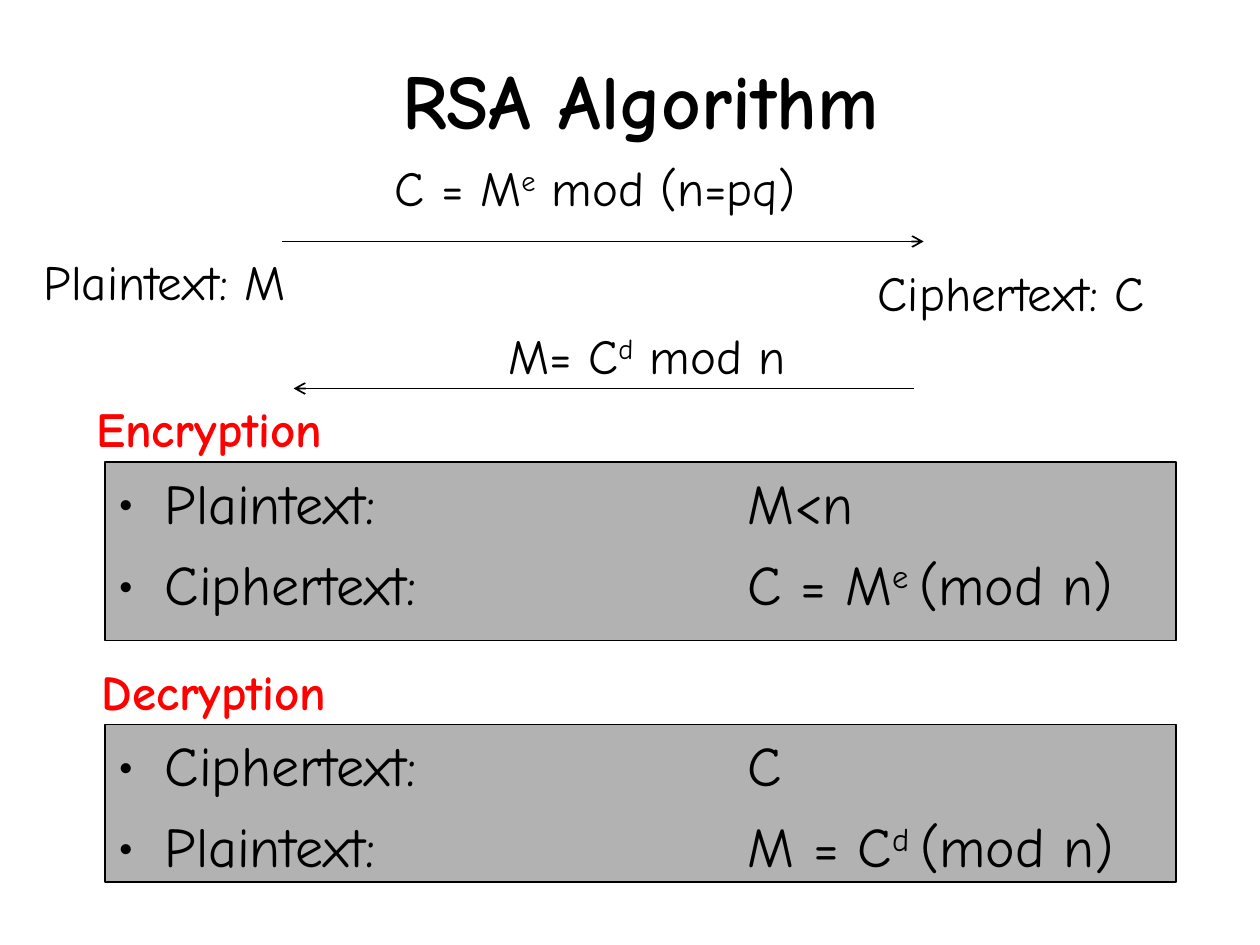
import pptx
import pptx.dml.color
import pptx.enum.shapes
import pptx.enum.text
import pptx.util
from lxml import etree
from pptx.oxml.ns import qn

Pt = pptx.util.Pt
ALIGN = pptx.enum.text.PP_ALIGN
ANCHOR = pptx.enum.text.MSO_ANCHOR
FONT = "Comic Neue"
BLACK, RED, GREY = "000000", "FF0000", "B2B2B2"


def color(value):
    return pptx.dml.color.RGBColor.from_string(value)


def write(para, text, size, ink=BLACK, bold=False):
    """Write text with superscripts enclosed in ^ marks."""
    for index, piece in enumerate(text.split("^")):
        span = para.add_run()
        span.text = piece
        if index % 2:
            span._r.get_or_add_rPr().set("baseline", "30000")
    para.font.name = FONT
    para.font.size = Pt(size)
    para.font.bold = bold
    para.font.color.rgb = color(ink)


deck = pptx.Presentation()
deck.slide_width, deck.slide_height = Pt(720), Pt(540)
page = deck.slides.add_slide(deck.slide_layouts[6])

# Title
box = page.shapes.add_textbox(Pt(60), Pt(0), Pt(612), Pt(113))
box.text_frame.word_wrap = True
box.text_frame.vertical_anchor = ANCHOR.MIDDLE
title = box.text_frame.paragraphs[0]
title.alignment = ALIGN.CENTER
write(title, "RSA Algorithm", 44, bold=True)

# Labels of the exchange and headings of the panels
labels = [
    ("Plaintext: M", 18, 144, 180, ALIGN.LEFT, BLACK),
    ("C = M^e^ mod (n=pq)", 170.6, 90, 339, ALIGN.CENTER, BLACK),
    ("Ciphertext: C", 494.6, 150, 207.4, ALIGN.LEFT, BLACK),
    ("M= C^d^ mod n", 217.4, 186, 304.6, ALIGN.CENTER, BLACK),
    ("Encryption", 48, 228, 160, ALIGN.LEFT, RED),
    ("Decryption", 51, 378, 160, ALIGN.LEFT, RED),
]
for text, left, top, width, alignment, ink in labels:
    box = page.shapes.add_textbox(Pt(left), Pt(top), Pt(width), Pt(37.5))
    box.text_frame.word_wrap = True
    para = box.text_frame.paragraphs[0]
    para.alignment = alignment
    para.line_spacing = 0.9
    write(para, text, 28, ink, bold=ink == RED)

# Arrows: encryption to the right, decryption to the left
for start, end, height in [(161.3, 527.8, 138), (522, 167.8, 222)]:
    arrow = page.shapes.add_connector(
        pptx.enum.shapes.MSO_CONNECTOR.STRAIGHT,
        Pt(start), Pt(height), Pt(end), Pt(height))
    arrow.line.color.rgb = color(BLACK)
    arrow.line.width = Pt(1)
    etree.SubElement(arrow.line._get_or_add_ln(), qn("a:tailEnd"), type="arrow")
    etree.SubElement(arrow._element.spPr, qn("a:effectLst"))

# Grey panels with two bulleted rows each
panels = [
    (264, 102, ["Plaintext:\tM<n", "Ciphertext:\tC = M^e ^(mod n)"]),
    (414, 90, ["Ciphertext:\tC", "Plaintext:\tM = C^d ^(mod n)"]),
]
for top, height, rows in panels:
    panel = page.shapes.add_shape(
        pptx.enum.shapes.MSO_SHAPE.RECTANGLE, Pt(60), Pt(top), Pt(612), Pt(height))
    panel.shadow.inherit = False
    panel.fill.solid()
    panel.fill.fore_color.rgb = color(GREY)
    panel.line.color.rgb = color(BLACK)
    panel.line.width = Pt(0.75)
    frame = panel.text_frame
    frame.word_wrap = True
    frame.vertical_anchor = ANCHOR.TOP
    for index, row in enumerate(rows):
        para = frame.add_paragraph() if index else frame.paragraphs[0]
        para.alignment = ALIGN.LEFT
        para.space_before = Pt(8 if index else 0)
        # Hanging bullet, and one tab stop for the value column
        props = para._p.get_or_add_pPr()
        props.set("marL", str(Pt(27)))
        props.set("indent", str(Pt(-27)))
        bullet_color = etree.SubElement(props, qn("a:buClr"))
        etree.SubElement(bullet_color, qn("a:srgbClr"), val=BLACK)
        etree.SubElement(props, qn("a:buFont"), typeface=FONT)
        etree.SubElement(props, qn("a:buChar"), char="•")
        tabs = etree.SubElement(props, qn("a:tabLst"))
        etree.SubElement(tabs, qn("a:tab"), pos=str(Pt(360)), algn="l")
        write(para, row, 32)

deck.save("out.pptx")
